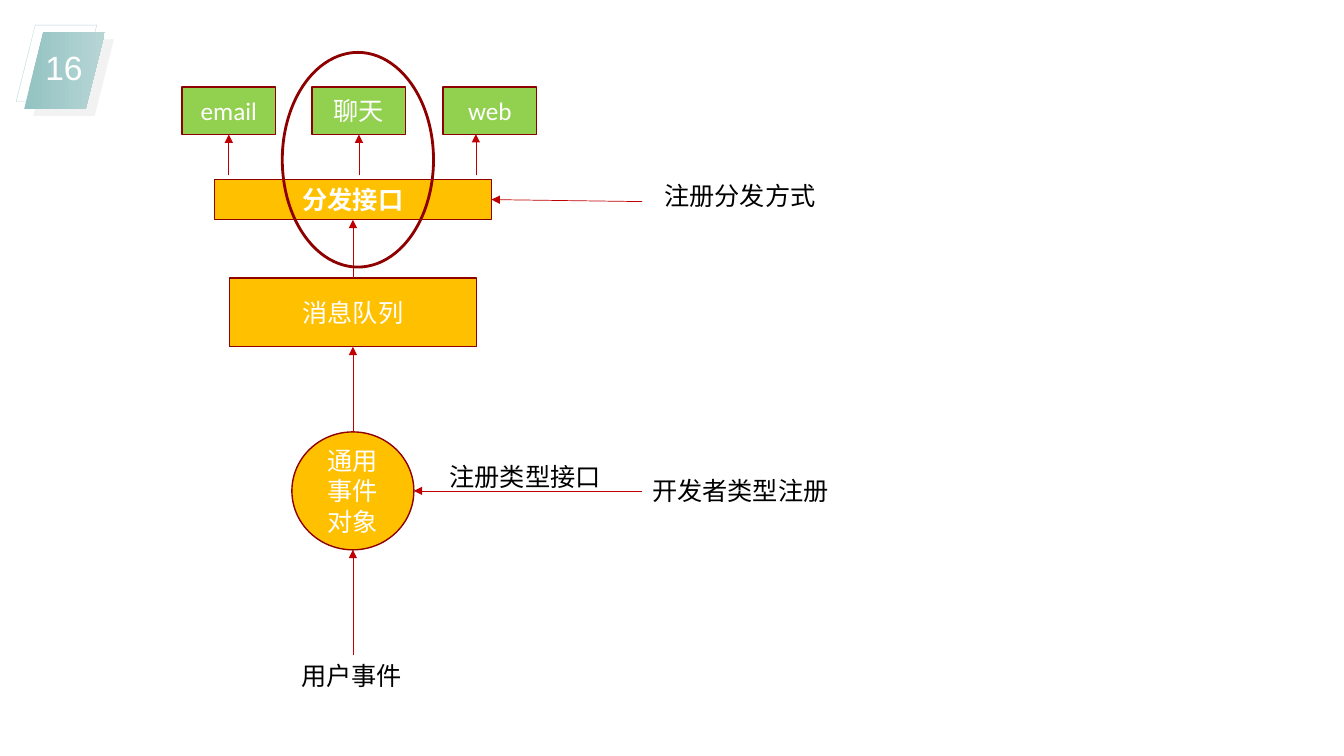
from dataclasses import dataclass
from lxml.etree import SubElement
from pptx import Presentation
from pptx.dml.color import RGBColor
from pptx.enum.shapes import MSO_CONNECTOR, MSO_SHAPE as Preset
from pptx.enum.text import MSO_ANCHOR, MSO_AUTO_SIZE, PP_ALIGN
from pptx.oxml.ns import qn
from pptx.util import Inches, Pt


@dataclass(frozen=True)
class Theme:
    font: str = "Calibri"
    number_font: str = "Arial"
    size: int = 18
    number_size: int = 24
    white: str = "FFFFFF"
    black: str = "000000"
    amber: str = "FFC000"
    green: str = "92D050"
    border: str = "8E0000"
    arrow: str = "C00000"
    badge_line: str = "BAD7D7"
    badge_shade: str = "F2F2F2"
    badge_start: str = "93C3C2"
    badge_end: str = "B7D5D5"


THEME = Theme()
SLIDE_SIZE = (13.33, 7.5)
COLUMNS = {"email": 2.27, "axis": 3.5, "chat": 3.56, "web": 4.86, "notes": 6.37}
ROWS = {"channels": 1.1, "dispatch": 1.98, "queue": 3.1, "event": 4.87, "user": 6.7}

NODES = {
    "dispatch": ("分发接口", "axis", "dispatch", 2.75, 0.4, Preset.RECTANGLE, THEME.amber),
    "queue": ("消息队列", "axis", "queue", 2.45, 0.68, Preset.RECTANGLE, THEME.amber),
    "event": ("通用事件对象", "axis", "event", 1.21, 1.17, Preset.OVAL, THEME.amber),
    "email": ("email", "email", "channels", 0.93, 0.47, Preset.RECTANGLE, THEME.green),
    "chat": ("聊天", "chat", "channels", 0.93, 0.47, Preset.RECTANGLE, THEME.green),
    "web": ("web", "web", "channels", 0.93, 0.47, Preset.RECTANGLE, THEME.green),
}
LABELS = [
    ("用户事件", COLUMNS["axis"] - 0.61, ROWS["user"], 1.21),
    ("开发者类型注册", COLUMNS["notes"], ROWS["event"], 1.97),
    ("注册类型接口", 4.36, ROWS["event"] - 0.14, 1.72),
    ("注册分发方式", COLUMNS["notes"] + 0.12, ROWS["dispatch"] - 0.04, 1.72),
]
LABEL_HEIGHT = 0.4
TOP, LEFT, BOTTOM, RIGHT = range(4)
CHANNEL_START = 1.74
WEB_ARROW = 4.72
ARROWS = [
    (("queue", TOP), ("dispatch", BOTTOM)),
    (("event", TOP), ("queue", BOTTOM)),
    ((COLUMNS["axis"], 6.5), ("event", BOTTOM)),
    ((COLUMNS["notes"], ROWS["event"]), ("event", RIGHT)),
    ((COLUMNS["notes"], 2.0), ("dispatch", RIGHT)),
    ((COLUMNS["chat"], CHANNEL_START), ("chat", BOTTOM)),
    ((COLUMNS["email"], CHANNEL_START), ("email", BOTTOM)),
    ((WEB_ARROW, CHANNEL_START), (WEB_ARROW, 1.33)),
]
BADGE_SIZE = (0.8, 0.76)
BADGE_NUMBER = "16"


def color(value):
    return RGBColor.from_string(value)


def add_shape(slide, preset, box, fill=None, line=None, width=1):
    shape = slide.shapes.add_shape(preset, *map(Inches, box))
    shape.shadow.inherit = False
    if fill:
        shape.fill.solid()
        shape.fill.fore_color.rgb = color(fill)
    else:
        shape.fill.background()
    if line:
        shape.line.color.rgb = color(line)
        shape.line.width = Pt(width)
    else:
        shape.line.fill.background()
    return shape


def set_text(shape, text, fill, align, font=THEME.font, size=THEME.size):
    shape.text_frame.text = text
    paragraph = shape.text_frame.paragraphs[0]
    paragraph.alignment = align
    run = paragraph.runs[0]
    run.font.name = font
    run.font.size = Pt(size)
    run.font.color.rgb = color(fill)
    return paragraph


def add_label(slide, box):
    label = slide.shapes.add_textbox(*map(Inches, box))
    label.text_frame.word_wrap = False
    label.text_frame.auto_size = MSO_AUTO_SIZE.SHAPE_TO_FIT_TEXT
    return label


def add_badge(slide):
    add_shape(slide, Preset.PARALLELOGRAM, (0.16, 0.25, *BADGE_SIZE), line=THEME.badge_line, width=0.25)
    add_shape(slide, Preset.PARALLELOGRAM, (0.33, 0.39, *BADGE_SIZE), THEME.badge_shade)
    face = add_shape(slide, Preset.PARALLELOGRAM, (0.24, 0.32, *BADGE_SIZE))
    face.fill.gradient()
    face.fill.gradient_angle = 0
    for stop, shade in zip(face.fill.gradient_stops, (THEME.badge_start, THEME.badge_end)):
        stop.color.rgb = color(shade)
    number = add_label(slide, (0.33, 0.36, 0.61, 0.54))
    number.text_frame.vertical_anchor = MSO_ANCHOR.MIDDLE
    paragraph = set_text(number, BADGE_NUMBER, THEME.white, PP_ALIGN.CENTER, THEME.number_font, THEME.number_size)
    paragraph.line_spacing = 1.2


def add_node(slide, text, column, row, width, height, preset, fill):
    box = (COLUMNS[column] - width / 2, ROWS[row] - height / 2, width, height)
    shape = add_shape(slide, preset, box, fill, THEME.border)
    shape.text_frame.vertical_anchor = MSO_ANCHOR.MIDDLE
    shape.text_frame.word_wrap = True
    set_text(shape, text, THEME.white, PP_ALIGN.CENTER)
    return shape


def locate(end, shapes):
    name, side = end
    if name not in shapes:
        return Inches(name), Inches(side)
    shape = shapes[name]
    across, down = ((0.5, 0), (0, 0.5), (0.5, 1), (1, 0.5))[side]
    return int(shape.left + shape.width * across), int(shape.top + shape.height * down)


def add_arrow(slide, start, end, shapes):
    connector = slide.shapes.add_connector(
        MSO_CONNECTOR.STRAIGHT, *locate(start, shapes), *locate(end, shapes))
    for (name, side), connect in ((start, connector.begin_connect), (end, connector.end_connect)):
        if name in shapes and NODES[name][5] == Preset.RECTANGLE:
            connect(shapes[name], side)
    connector.line.color.rgb = color(THEME.arrow)
    connector.line.width = Pt(0.5)
    SubElement(connector.line._get_or_add_ln(), qn("a:tailEnd"), type="triangle")
    SubElement(connector._element.spPr, qn("a:effectLst"))


def main():
    presentation = Presentation()
    presentation.slide_width, presentation.slide_height = map(Inches, SLIDE_SIZE)
    slide = presentation.slides.add_slide(presentation.slide_layouts[6])
    add_badge(slide)
    shapes = {name: add_node(slide, *node) for name, node in NODES.items()}
    shapes["dispatch"].text_frame.paragraphs[0].runs[0].font.bold = True
    for text, left, middle, width in LABELS:
        label = add_label(slide, (left, middle - LABEL_HEIGHT / 2, width, LABEL_HEIGHT))
        set_text(label, text, THEME.black, PP_ALIGN.LEFT)
    for start, end in ARROWS:
        add_arrow(slide, start, end, shapes)
    add_shape(slide, Preset.OVAL, (2.8, 0.52, 1.5, 2.13), line=THEME.border, width=2)
    presentation.save("out.pptx")


if __name__ == "__main__":
    main()
